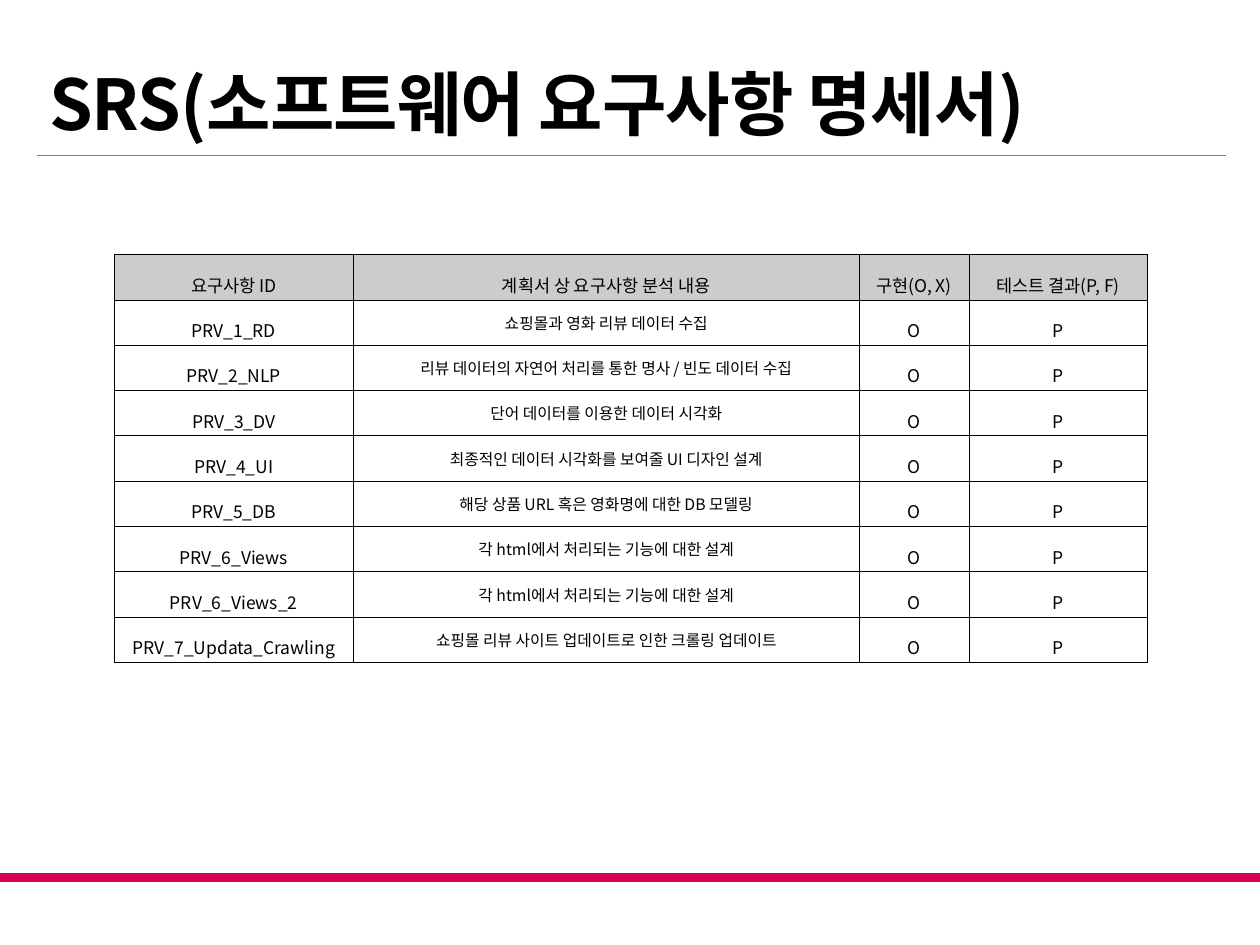
from dataclasses import dataclass

from lxml import etree
from pptx import Presentation
from pptx.dml.color import RGBColor
from pptx.enum.shapes import MSO_CONNECTOR, MSO_SHAPE
from pptx.enum.text import MSO_ANCHOR, MSO_AUTO_SIZE, PP_ALIGN
from pptx.oxml.ns import qn
from pptx.util import Inches, Pt

COLORS = {"text": "000000", "band": "D90156", "rule": "808080",
          "header": "CCCCCC", "body": "FFFFFF", "border": "000000"}
HANGUL_FONT = "Calibri"
LATIN_FONT = "Noto Sans CJK KR"
COLUMN_WIDTHS = (1.89, 4.02, 0.87, 1.42)
ROW_HEIGHT = 0.27
HEADINGS = (("요구사항 ", "ID"), ("계획서 상 요구사항 분석 내용",),
            ("구현", "(O, X)"), ("테스트 결과", "(P, F)"))


@dataclass(frozen=True)
class Requirement:
    identifier: str
    description: tuple[str, ...]
    implemented: str = "O"
    result: str = "P"


VIEW_DESIGN = ("각 ", "html", "에서 처리되는 기능에 대한 설계")
REQUIREMENTS = (
    Requirement("PRV_1_RD", ("쇼핑몰과 영화 리뷰 데이터 수집",)),
    Requirement("PRV_2_NLP", ("리뷰 데이터의 자연어 처리를 통한 명사 ", "/ ",
                              "빈도 데이터 수집")),
    Requirement("PRV_3_DV", ("단어 데이터를 이용한 데이터 시각화",)),
    Requirement("PRV_4_UI", ("최종적인 데이터 시각화를 보여줄 ", "UI ", "디자인 설계")),
    Requirement("PRV_5_DB", ("해당 상품 ", "URL ", "혹은 영화명에 대한 ", "DB ",
                             "모델링")),
    Requirement("PRV_6_Views", VIEW_DESIGN),
    Requirement("PRV_6_Views_2", VIEW_DESIGN),
    Requirement("PRV_7_Updata_Crawling",
                ("쇼핑몰 리뷰 사이트 업데이트로 인한 크롤링 업데이트",)),
)


def color(name: str) -> RGBColor:
    return RGBColor.from_string(COLORS[name])


def font_for(text: str) -> str:
    return HANGUL_FONT if any("가" <= letter <= "힣" for letter in text) else LATIN_FONT


def write_text(frame, parts, *, size, align=PP_ALIGN.CENTER, bold=False,
               font=None, line_spacing=None, tracking=None) -> None:
    """Write one paragraph with a run for each part; tracking is in points."""
    paragraph = frame.paragraphs[0]
    paragraph.alignment = align
    if line_spacing:
        paragraph.line_spacing = line_spacing
    for part in parts:
        run = paragraph.add_run()
        run.text = part
        run.font.size = Pt(size)
        run.font.bold = bold
        run.font.color.rgb = color("text")
        run.font.name = font or font_for(part)
        properties = run.font._element
        east_asian = etree.Element(qn("a:ea"), typeface=LATIN_FONT)
        properties.find(qn("a:latin")).addnext(east_asian)
        if tracking is not None:
            properties.set("spc", str(int(tracking * 100)))


def add_borders(cell) -> None:
    properties = cell._tc.get_or_add_tcPr()
    for side in ("lnL", "lnR", "lnT", "lnB"):
        line = etree.SubElement(properties, qn(f"a:{side}"), w=str(Pt(0.28)))
        fill = etree.SubElement(line, qn("a:solidFill"))
        etree.SubElement(fill, qn("a:srgbClr"), val=COLORS["border"])


def fill_cell(cell, parts, *, fill, size=10, line_spacing=1.6) -> None:
    cell.vertical_anchor = MSO_ANCHOR.MIDDLE
    cell.margin_left = cell.margin_right = Inches(0.07)
    cell.margin_top = cell.margin_bottom = Inches(0.02)
    add_borders(cell)
    cell.fill.solid()
    cell.fill.fore_color.rgb = color(fill)
    write_text(cell.text_frame, parts, size=size, line_spacing=line_spacing)


def add_decoration(slide) -> None:
    band = slide.shapes.add_shape(MSO_SHAPE.RECTANGLE, Inches(0), Inches(6.93),
                                  Inches(10), Inches(0.07))
    band.shadow.inherit = False
    band.fill.solid()
    band.fill.fore_color.rgb = color("band")
    band.line.fill.background()
    rule = slide.shapes.add_connector(MSO_CONNECTOR.STRAIGHT, Inches(0.29),
                                      Inches(1.23), Inches(9.73), Inches(1.23))
    rule.line.color.rgb = color("rule")
    rule.line.width = Pt(0.5)
    etree.SubElement(rule._element.spPr, qn("a:effectLst"))


def add_title(slide) -> None:
    title = slide.shapes.title
    title.left, title.top = Inches(0.29), Inches(0.31)
    title.width, title.height = Inches(9.44), Inches(0.89)
    frame = title.text_frame
    frame.auto_size = MSO_AUTO_SIZE.NONE
    frame.vertical_anchor = MSO_ANCHOR.BOTTOM
    write_text(frame, ["SRS(소프트웨어 요구사항 명세서)"], size=40, bold=True,
               align=PP_ALIGN.LEFT, font=LATIN_FONT, tracking=-0.5)


def add_requirements_table(slide) -> None:
    row_count = len(REQUIREMENTS) + 1
    table = slide.shapes.add_table(
        row_count, len(COLUMN_WIDTHS), Inches(0.91), Inches(2.02),
        Inches(sum(COLUMN_WIDTHS)), Inches(ROW_HEIGHT * row_count)).table
    table.first_row = table.horz_banding = False
    for column, width in zip(table.columns, COLUMN_WIDTHS):
        column.width = Inches(width)
    for index, heading in enumerate(HEADINGS):
        fill_cell(table.cell(0, index), heading, fill="header")
    for row, requirement in enumerate(REQUIREMENTS, start=1):
        fill_cell(table.cell(row, 0), [requirement.identifier], fill="body")
        fill_cell(table.cell(row, 1), requirement.description, fill="body",
                  size=9, line_spacing=None)
        fill_cell(table.cell(row, 2), [requirement.implemented], fill="body")
        fill_cell(table.cell(row, 3), [requirement.result], fill="body")


def main() -> None:
    presentation = Presentation()
    presentation.slide_width, presentation.slide_height = Inches(10), Inches(7.5)
    slide = presentation.slides.add_slide(presentation.slide_layouts[5])
    add_decoration(slide)
    add_title(slide)
    add_requirements_table(slide)
    presentation.save("out.pptx")


if __name__ == "__main__":
    main()
